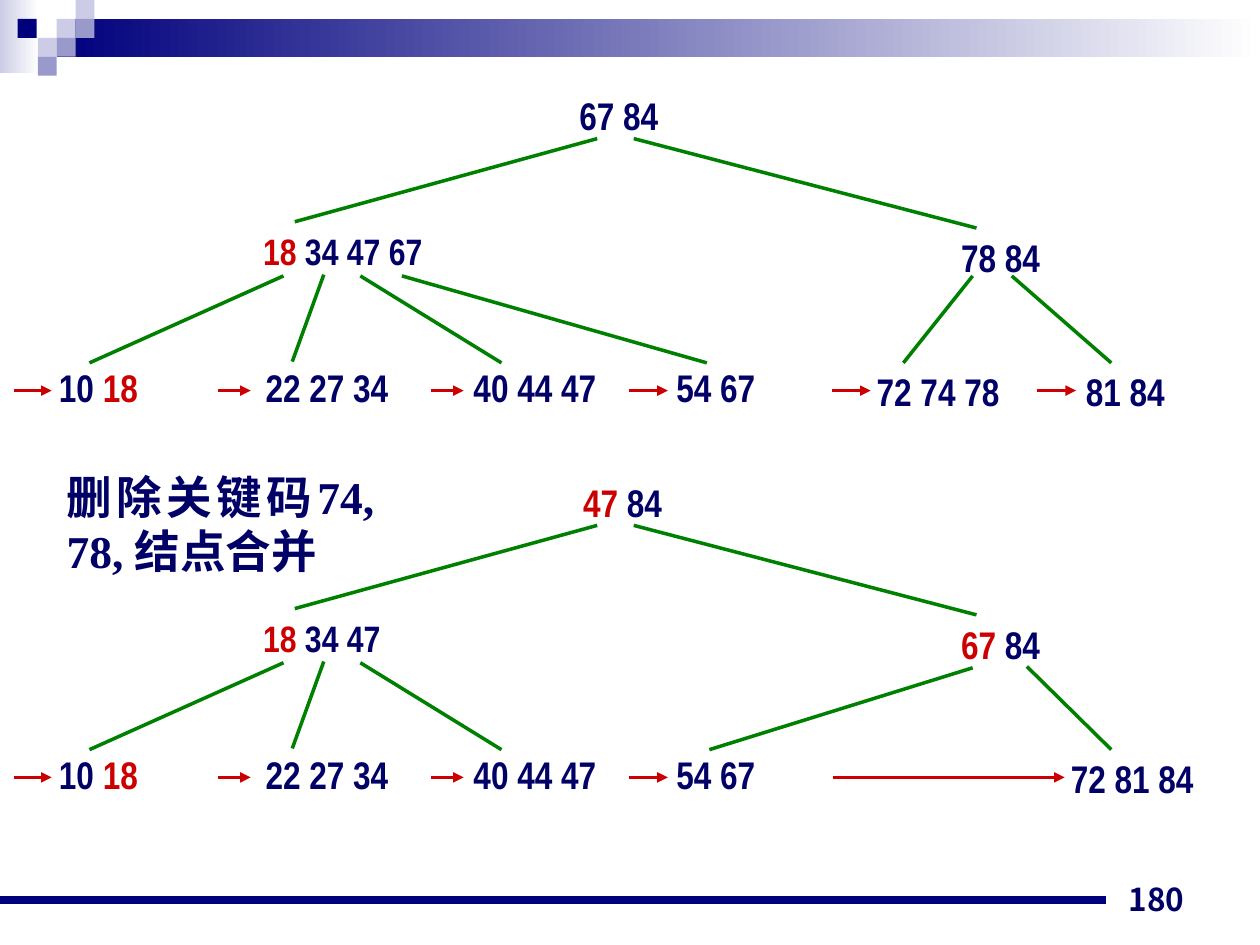
from lxml.etree import SubElement
from pptx import Presentation
from pptx.dml.color import RGBColor
from pptx.enum.shapes import MSO_CONNECTOR as CONNECTOR, MSO_SHAPE as SHAPE
from pptx.enum.text import MSO_ANCHOR as ANCHOR, PP_ALIGN as ALIGN
from pptx.oxml.ns import qn
from pptx.util import Inches, Pt

COLORS = {"navy": "00007D", "text": "000066", "red": "CC0000", "green": "008000",
          "pale": "CCCCE6", "lilac": "9999CC", "white": "FFFFFF"}
RGB = {name: RGBColor.from_string(value) for name, value in COLORS.items()}
KEY_FONT, CJK_FONT = "Arial Narrow", "Noto Sans CJK JP"

prs = Presentation()
prs.slide_width, prs.slide_height = Inches(10), Inches(7.5)
slide = prs.slides.add_slide(prs.slide_layouts[6])


def add_line(start, end, color, width=2, arrow=False):
    line = slide.shapes.add_connector(CONNECTOR.STRAIGHT, *map(Inches, start + end))
    line.line.color.rgb = RGB[color]
    line.line.width = Pt(width)
    if arrow:
        SubElement(line.line._get_or_add_ln(), qn("a:tailEnd"), type="triangle")
    SubElement(line._element.spPr, qn("a:effectLst"))


def add_text(box, runs, size=22, font=KEY_FONT, align=ALIGN.JUSTIFY):
    """Add one bold paragraph made of (text, color) runs."""
    frame = slide.shapes.add_textbox(*map(Inches, box)).text_frame
    frame.word_wrap = True
    paragraph = frame.paragraphs[0]
    paragraph.alignment = align
    for text, color in runs:
        run = paragraph.add_run()
        run.text = text
        run.font.size, run.font.bold, run.font.name = Pt(size), True, font
        run.font.color.rgb = RGB[color]
        SubElement(run._r.get_or_add_rPr(), qn("a:ea"), typeface=CJK_FONT)
    return frame


# Header: two gradient bars, then a checker of small squares
header = [
    (0, 0, 0.31, 0.58, ("pale", "white")),
    (0.45, 0.15, 9.55, 0.3, ("navy", "white")),
]
squares = [(0.45, 0.15, "pale"), (0.6, 0, "pale"), (0.6, 0.15, "lilac"),
           (0.3, 0.3, "pale"), (0.14, 0.15, "navy"), (0.45, 0.3, "lilac"),
           (0.3, 0.45, "lilac")]
header += [(left, top, 0.15, 0.15, (color,)) for left, top, color in squares]
for *box, fill_colors in header:
    block = slide.shapes.add_shape(SHAPE.RECTANGLE, *map(Inches, box))
    block.shadow.inherit = False
    block.line.fill.background()
    if len(fill_colors) == 1:
        block.fill.solid()
        block.fill.fore_color.rgb = RGB[fill_colors[0]]
    else:
        block.fill.gradient()
        block.fill.gradient_angle = 0
        for stop, color, position in zip(block.fill.gradient_stops, fill_colors, (0, 1)):
            stop.color.rgb = RGB[color]
            stop.position = position

# Footer
add_line((0, 7.14), (8.78, 7.14), "navy", 4.5)
page_number = add_text((7.17, 6.83, 2.33, 0.5), [("180", "text")], 18, CJK_FONT, ALIGN.RIGHT)
page_number.vertical_anchor = ANCHOR.BOTTOM

add_text((0.43, 3.67, 2.64, 1.28), [("删除关键码74, 78, 结点合并", "text")], 26, "Times New Roman")

# Both trees use the coordinates of the upper one; the lower is moved down.
TREE_GAP = 3.07
NODE_WIDTH, NODE_HEIGHT = 1.56, 0.58

# Nodes: left, top, size, runs
shared_nodes = [
    (0.37, 2.84, 22, [("10 ", "text"), ("18", "red")]),
    (2.01, 2.84, 22, [("22 27 34", "text")]),
    (3.66, 2.84, 22, [("40 44 47", "text")]),
    (5.27, 2.84, 22, [("54 67", "text")]),
]
before_nodes = [
    (6.86, 2.87, 22, [("72 74 78", "text")]),
    (8.52, 2.87, 22, [("81 84", "text")]),
    (1.99, 1.77, 21, [("18", "red"), (" 34 47 67", "text")]),
    (7.53, 1.81, 22, [("78 84", "text")]),
    (4.5, 0.68, 22, [("67 84", "text")]),
]
after_nodes = [
    (8.4, 2.87, 22, [("72 81 84", "text")]),
    (1.99, 1.77, 21, [("18", "red"), (" 34 47", "text")]),
    (7.53, 1.81, 22, [("67", "red"), (" 84", "text")]),
    (4.53, 0.68, 22, [("47", "red"), (" 84", "text")]),
]

# Branches: x and y of the parent end, then of the child end
shared_branches = [
    (4.74, 1.1, 2.34, 1.76), (5.03, 1.1, 7.75, 1.81),
    (2.25, 2.19, 0.71, 2.88), (2.57, 2.18, 2.32, 2.87), (2.86, 2.19, 3.98, 2.88),
]
before_branches = [(3.19, 2.19, 5.61, 2.88), (7.72, 2.19, 7.17, 2.88), (8.03, 2.19, 8.82, 2.88)]
after_branches = [(7.72, 2.23, 5.63, 2.88), (8.15, 2.22, 8.82, 2.88)]

# Leaf links: left and right ends
shared_links = [(0.11, 0.41), (1.73, 1.99), (3.42, 3.68), (4.99, 5.3)]
before_links = [(6.6, 6.91), (8.23, 8.54)]
after_links = [(6.61, 8.45)]

trees = [
    (0, before_nodes, before_branches, before_links),
    (TREE_GAP, after_nodes, after_branches, after_links),
]
for shift, nodes, branches, links in trees:
    for left, right in shared_links + links:
        add_line((left, 3.1 + shift), (right, 3.1 + shift), "red", arrow=True)
    for x1, y1, x2, y2 in shared_branches + branches:
        add_line((x1, y1 + shift), (x2, y2 + shift), "green")
    for left, top, size, runs in shared_nodes + nodes:
        add_text((left, top + shift, NODE_WIDTH, NODE_HEIGHT), runs, size)

prs.save("out.pptx")
